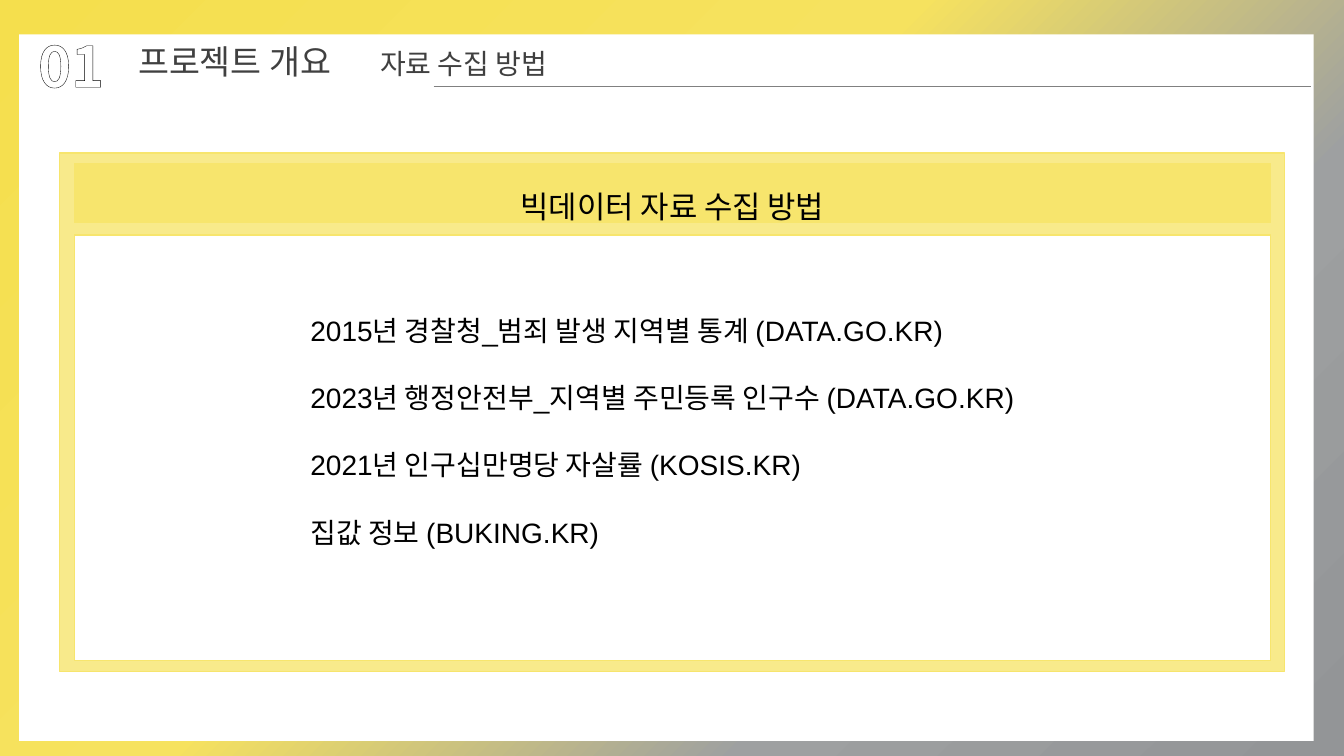
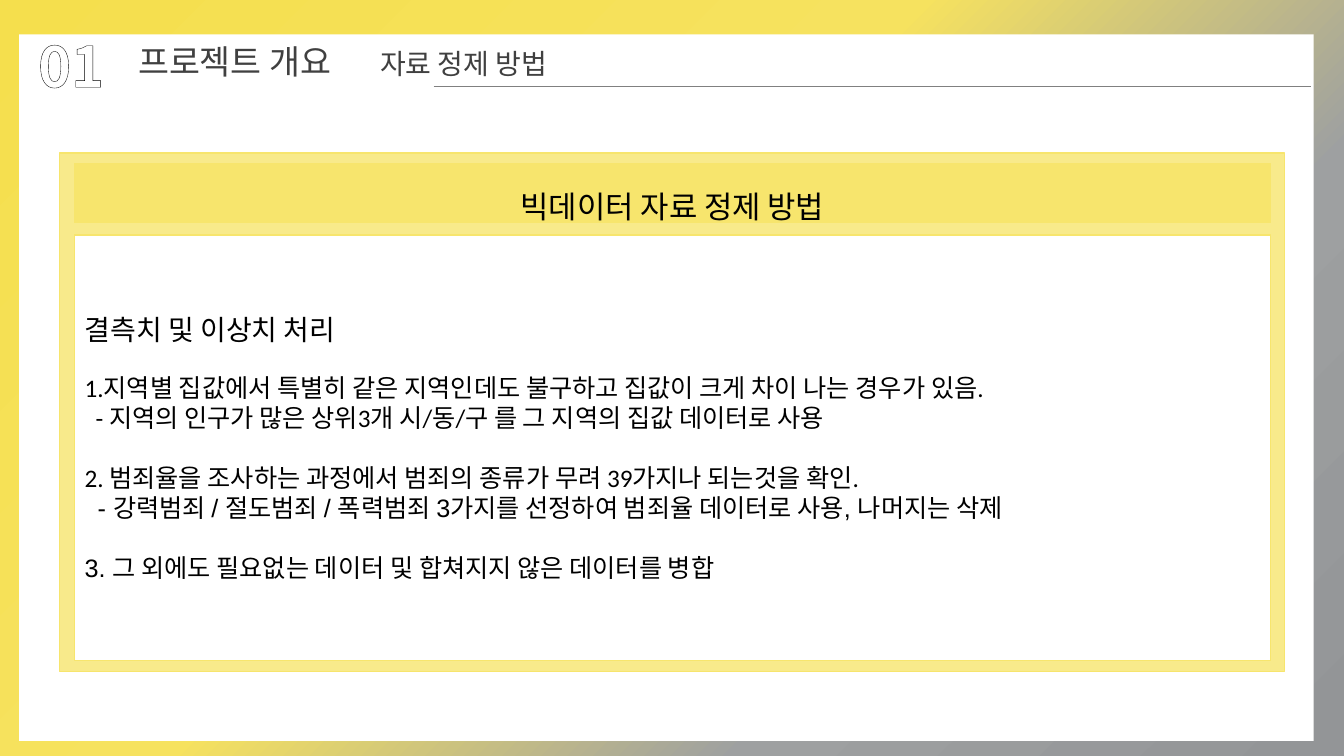
from lxml import etree
from pptx import Presentation
from pptx.dml.color import RGBColor
from pptx.enum.dml import MSO_PATTERN
from pptx.enum.shapes import MSO_CONNECTOR, MSO_SHAPE
from pptx.enum.text import MSO_ANCHOR, MSO_AUTO_SIZE, PP_ALIGN
from pptx.oxml.ns import qn
from pptx.util import Pt

PX = 9144
PAGE_WIDTH, PAGE_HEIGHT = 1333, 750
TITLE_ONLY = 5

WHITE = RGBColor(0xFF, 0xFF, 0xFF)
BLACK = RGBColor(0x00, 0x00, 0x00)
INK = RGBColor(0x40, 0x40, 0x40)
NUMBER_INK = RGBColor(0x3B, 0x38, 0x38)
RULE_GRAY = RGBColor(0x80, 0x80, 0x80)
YELLOW = RGBColor(0xF7, 0xE5, 0x6D)
BACKDROP_STOPS = [
    (0, RGBColor(0xF5, 0xDF, 0x4D), 100),
    (44, RGBColor(0xF6, 0xE2, 0x5F), 70),
    (71, RGBColor(0x9E, 0xA0, 0xA1), 70),
    (100, RGBColor(0x93, 0x95, 0x97), 100),
]

KOREAN = "Noto Sans CJK KR"
ARIAL = "Arial"
CALIBRI = "Calibri"

LEFT, CENTER = PP_ALIGN.LEFT, PP_ALIGN.CENTER
TOP, MIDDLE = MSO_ANCHOR.TOP, MSO_ANCHOR.MIDDLE
NO_AUTOFIT = MSO_AUTO_SIZE.NONE
RECTANGLE = MSO_SHAPE.RECTANGLE
STRAIGHT = MSO_CONNECTOR.STRAIGHT
DIAGONAL = MSO_PATTERN.DARK_UPWARD_DIAGONAL

PAPER = (19, 34, 1284, 701)
PANEL = (59, 152, 1215, 514)

SOURCES = [
    "2015년 경찰청_범죄 발생 지역별 통계 (DATA.GO.KR)",
    "2023년 행정안전부_지역별 주민등록 인구수 (DATA.GO.KR)",
    "2021년 인구십만명당 자살률 (KOSIS.KR)",
    "집값 정보 (BUKING.KR)",
]
STEPS = [
    ("결측치 및 이상치 처리",
     dict(size=20, font=ARIAL, leading=24, after=19)),
    ("1.지역별 집값에서 특별히 같은 지역인데도 불구하고 집값이 크게 차이 나는 경우가 있음.",
     dict(font=CALIBRI)),
    ("- 지역의 인구가 많은 상위3개 시/동/구 를 그 지역의 집값 데이터로 사용",
     dict(font=CALIBRI, indent=11, after=21.5)),
    ("2. 범죄율을 조사하는 과정에서 범죄의 종류가 무려 39가지나 되는것을 확인.",
     dict(font=CALIBRI)),
    ("- 강력범죄 / 절도범죄 / 폭력범죄 3가지를 선정하여 범죄율 데이터로 사용, 나머지는 삭제",
     dict(font=ARIAL, indent=13, after=21.5)),
    ("3. 그 외에도 필요없는 데이터 및 합쳐지지 않은 데이터를 병합",
     dict(font=ARIAL)),
]


def emu(box):
    """Turn a box in px into EMU lengths."""
    return [length * PX for length in box]


def child(parent, tag, **attributes):
    """Append one XML child with the given attributes."""
    element = etree.SubElement(parent, qn(tag))
    for name, value in attributes.items():
        element.set(name, str(value))
    return element


def next_para(frame):
    """Return the first paragraph while it is empty, else a new one."""
    first = frame.paragraphs[0]
    return frame.add_paragraph() if first.runs else first


def write(para, text, size=18, font=KOREAN, color=BLACK, bold=False,
          align=LEFT, leading=21.5, after=0, indent=0):
    """Add text to a paragraph with its format and return the span."""
    para.alignment = align
    para.line_spacing = Pt(leading)
    para.space_before = Pt(0)
    para.space_after = Pt(after)
    if indent:
        para._p.get_or_add_pPr().set("marL", str(indent * PX))
    span = para.add_run()
    span.text = text
    span.font.size = Pt(size)
    span.font.bold = bold
    span.font.color.rgb = color
    span.font.name = font
    child(span.font._element, "a:ea", typeface=KOREAN)
    return span


def prepare(frame, anchor=TOP):
    """Make a text frame wrap, keep its size and hold its anchor."""
    frame.word_wrap = True
    frame.auto_size = NO_AUTOFIT
    frame.vertical_anchor = anchor
    return frame


def add_text_box(page, box):
    """Add an empty text box and return its frame."""
    return prepare(page.shapes.add_textbox(*emu(box)).text_frame)


def add_rectangle(page, box, fill, line_width=0, opacity=100):
    """Add a flat rectangle, with a yellow line if it has a width."""
    shape = page.shapes.add_shape(RECTANGLE, *emu(box))
    shape.shadow.inherit = False
    shape.fill.solid()
    shape.fill.fore_color.rgb = fill
    if opacity < 100:
        color = shape.element.spPr.find(qn("a:solidFill"))[0]
        child(color, "a:alpha", val=opacity * 1000)
    if line_width:
        shape.line.color.rgb = YELLOW
        shape.line.width = Pt(line_width)
    else:
        shape.line.fill.background()
    return shape


def paint_backdrop(master):
    """Give the master a diagonal gradient from yellow to gray."""
    fill = master.background.fill
    fill.gradient()
    fill.gradient_angle = 315
    stops = master.element.find(".//" + qn("a:gsLst"))
    for stop in list(stops):
        stops.remove(stop)
    for position, color, opacity in BACKDROP_STOPS:
        stop = child(stops, "a:gs", pos=position * 1000)
        swatch = child(stop, "a:srgbClr", val=color)
        if opacity < 100:
            child(swatch, "a:alpha", val=opacity * 1000)


def add_number(page, box, text):
    """Add the outlined section number."""
    span = write(next_para(add_text_box(page, box)), text, size=40,
                 bold=True, leading=51)
    fill = span.font.fill
    fill.patterned()
    fill.pattern = DIAGONAL
    fill.fore_color.rgb = NUMBER_INK
    fill.back_color.rgb = WHITE
    outline = etree.Element(qn("a:ln"), w=str(Pt(1.25)))
    child(child(outline, "a:solidFill"), "a:srgbClr", val=BLACK)
    span.font._element.insert(0, outline)


def add_rule(page, left, right, top):
    """Add the thin gray line under the title."""
    rule = page.shapes.add_connector(STRAIGHT, *emu((left, top, right, top)))
    rule.line.color.rgb = RULE_GRAY
    rule.line.width = Pt(1)
    child(rule.element.spPr, "a:effectLst")


def add_title(page, box, section, topic):
    """Place the title with its section and topic set apart by a tab."""
    title = page.shapes.title
    title.left, title.top, title.width, title.height = emu(box)
    title.element.getparent().append(title.element)
    para = next_para(prepare(title.text_frame))
    write(para, section + "\t", size=24, color=INK, leading=30)
    write(para, topic, size=20, color=INK, leading=30)
    tabs = child(para._p.get_or_add_pPr(), "a:tabLst")
    child(tabs, "a:tab", pos=240 * PX, algn="l")


def add_header(page, box, topic):
    """Place the number, rule and title at the top of the paper."""
    left, top, width, _ = box
    add_number(page, (left + 9, top - 12, 127, 77), "01")
    add_rule(page, left + 411, left + width - 3, top + 52)
    add_title(page, (left + 108, top, 519, 50), "프로젝트 개요", topic)


def add_panel(page, box, heading):
    """Add the yellow panel with its heading and return the white body."""
    left, top, width, height = box
    inset, band_top, body_top = 15, 10, 81
    inner_left, inner_width = left + inset, width - 2 * inset + 1
    add_rectangle(page, box, YELLOW, line_width=1, opacity=79)
    body = add_rectangle(
        page, (inner_left, top + body_top, inner_width, height - body_top - 11),
        WHITE, line_width=1)
    band = add_rectangle(page, (inner_left, top + band_top, inner_width, 59),
                         YELLOW, line_width=0.75)
    write(next_para(prepare(band.text_frame)), heading, size=22,
          font=CALIBRI, align=CENTER, leading=40)
    return body


def add_page(deck, topic):
    """Add a page with paper, header and panel; return it with the body."""
    page = deck.slides.add_slide(deck.slide_layouts[TITLE_ONLY])
    add_rectangle(page, PAPER, WHITE)
    add_header(page, PAPER, topic)
    return page, add_panel(page, PANEL, "빅데이터 " + topic)


def add_collection_page(deck):
    """Build the page that lists the data sources."""
    page, _ = add_page(deck, "자료 수집 방법")
    left, top, _, _ = PANEL
    frame = add_text_box(page, (left + 239, top + 154, 800, 276))
    for source in SOURCES:
        write(next_para(frame), source, size=20, font=ARIAL,
              leading=24, after=24)


def add_cleaning_page(deck):
    """Build the page that explains the data cleaning."""
    _, body = add_page(deck, "자료 정제 방법")
    frame = prepare(body.text_frame, MIDDLE)
    for text, style in STEPS:
        write(next_para(frame), text, **style)


def main():
    """Build and save the deck."""
    deck = Presentation()
    deck.slide_width, deck.slide_height = emu((PAGE_WIDTH, PAGE_HEIGHT))
    paint_backdrop(deck.slide_master)
    add_collection_page(deck)
    add_cleaning_page(deck)
    deck.save("out.pptx")


if __name__ == "__main__":
    main()
